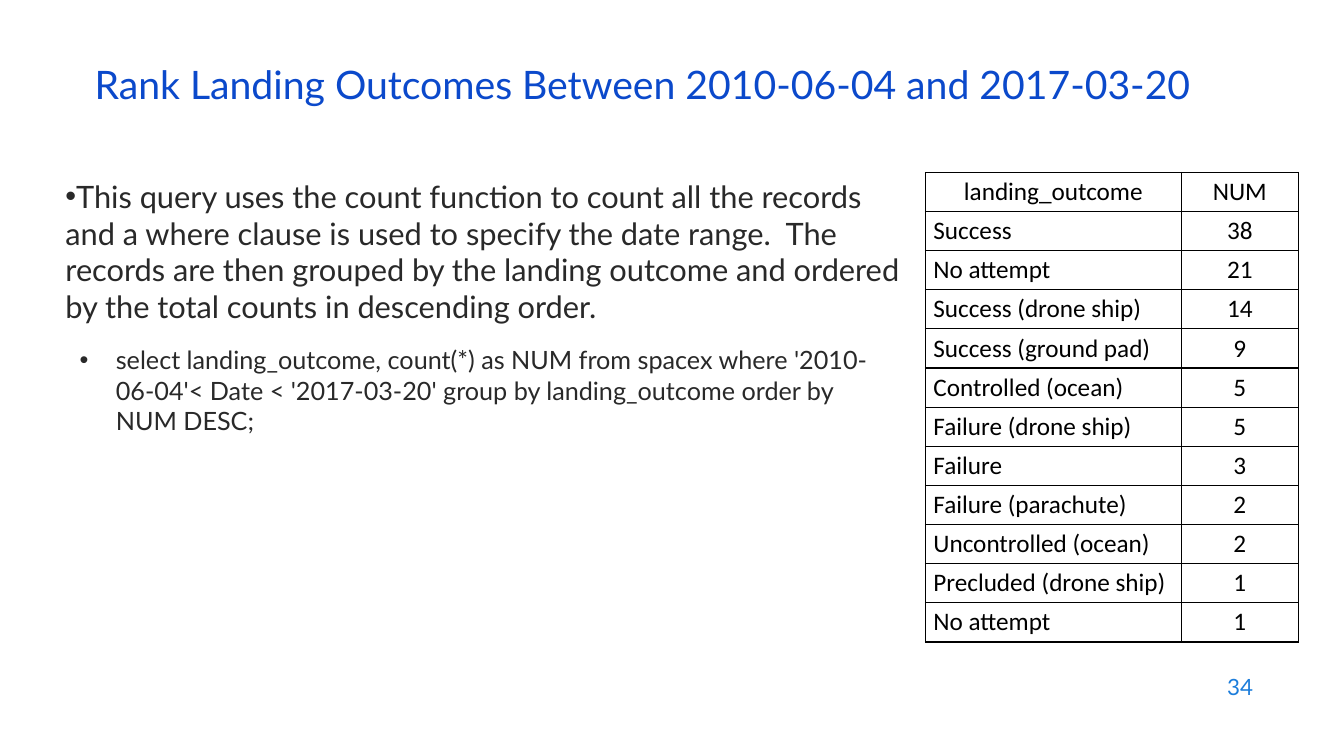
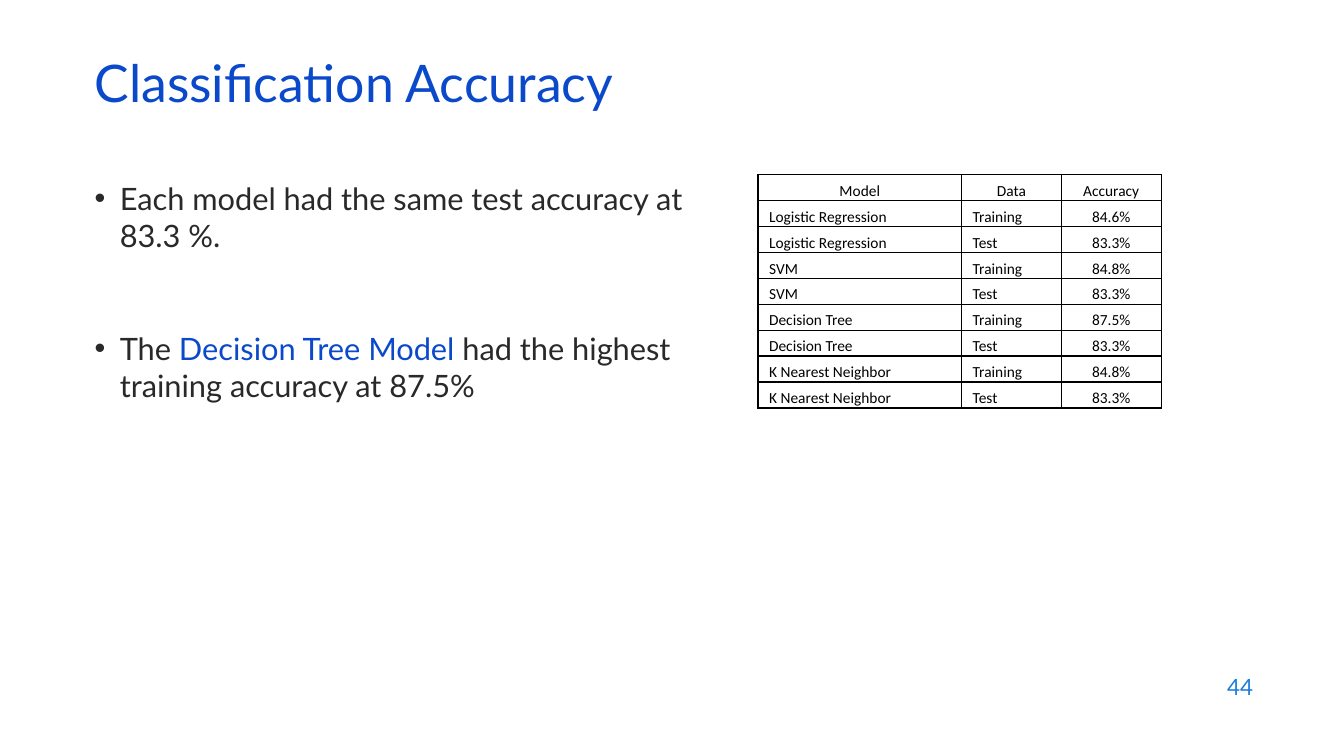
from pptx import Presentation
from pptx.dml.color import RGBColor as Rgb
from pptx.enum.text import MSO_ANCHOR as Anc, PP_ALIGN as Al
from pptx.oxml import parse_xml as to_xml
from pptx.oxml.ns import nsdecls as ns
from pptx.util import Inches as In, Pt

HUE = {"title": "0B49CB", "body": "292929", "page": "1C7DDB", "grid": "000000"}

deck = Presentation()
deck.slide_width, deck.slide_height = In(13.333), In(7.5)


def share(left, top, width, height):
    """Turn percentages of the slide into a position and size."""
    wide, high = deck.slide_width / 100, deck.slide_height / 100
    return [int(n) for n in (left * wide, top * high, width * wide, height * high)]


def write(para, text, size, hue, face="Lato"):
    run = para.add_run()
    run.text = text
    font = run.font
    font.name, font.size, font.bold = face, Pt(size), False
    font.color.rgb = Rgb.from_string(HUE[hue])


# Bullets: (margin, indent, space before, size, runs)
# Tables: place, column shares, size, anchor, insets, text indent, rows
pages = [
    {
        "page": "34", "size": 28,
        "title": "Rank Landing Outcomes Between 2010-06-04 and 2017-03-20",
        "box": (4.13, 22.8, 63.6, 67.2),
        "list": [
            (0, 0, 0, 22, [("This query uses the count function to count all the records "
                            "and a where clause is used to specify the date range.  The "
                            "records are then grouped by the landing outcome and ordered "
                            "by the total counts in descending order.", "body")]),
            (0.5, -0.36, 14, 18, [("select landing_outcome, count(*) as NUM from spacex "
                                   "where '2010-06-04'< Date < '2017-03-20' group by "
                                   "landing_outcome order by NUM DESC;", "body")]),
        ],
        "table": ((68.85, 22.8, 27.75, 62.13), (2.54, 1.16), 18, Anc.MIDDLE,
                  (0.08, 0.04, 0.08, 0.04), 0, [
            ("landing_outcome", "NUM"),
            ("Success", "38"),
            ("No attempt", "21"),
            ("Success (drone ship)", "14"),
            ("Success (ground pad)", "9"),
            ("Controlled (ocean)", "5"),
            ("Failure (drone ship)", "5"),
            ("Failure", "3"),
            ("Failure (parachute)", "2"),
            ("Uncontrolled (ocean)", "2"),
            ("Precluded (drone ship)", "1"),
            ("No attempt", "1"),
        ]),
    },
    {
        "page": "44", "size": 37,
        "title": "Classification Accuracy",
        "box": (6.3, 23.07, 48.3, 62.8),
        "list": [
            (0.25, -0.25, 0, 22,
             [("Each model had the same test accuracy at 83.3 %.", "body")]),
            (0.25, -0.25, 54.4, 22,
             [("The ", "body"), ("Decision Tree Model ", "title"),
              ("had the highest training accuracy at 87.5%", "body")]),
        ],
        "table": ((56.4, 23.07, 30, 30.93), (2.02, 0.99, 0.99), 11, Anc.BOTTOM,
                  (0.01, 0.01, 0.01, 0), 0.1, [
            ("Model", "Data", "Accuracy"),
            ("Logistic Regression", "Training", "84.6%"),
            ("Logistic Regression", "Test", "83.3%"),
            ("SVM", "Training", "84.8%"),
            ("SVM", "Test", "83.3%"),
            ("Decision Tree", "Training", "87.5%"),
            ("Decision Tree", "Test", "83.3%"),
            ("K Nearest Neighbor", "Training", "84.8%"),
            ("K Nearest Neighbor", "Test", "83.3%"),
        ]),
    },
]

for page in pages:
    slide = deck.slides.add_slide(deck.slide_layouts[6])
    shapes = slide.shapes

    # Title and page number
    for key, place, size, side, lead in (
            ("title", (6.3, 7.87, 86.25, 8), page["size"], Al.LEFT, 0.7),
            ("page", (71.47, 87.87, 22.5, 5.87), 16, Al.RIGHT, 1.0)):
        frame = shapes.add_textbox(*share(*place)).text_frame
        frame.word_wrap, frame.vertical_anchor = True, Anc.MIDDLE
        para = frame.paragraphs[0]
        para.alignment, para.line_spacing = side, lead
        write(para, page[key], size, key)

    # Bullet list
    frame = shapes.add_textbox(*share(*page["box"])).text_frame
    frame.word_wrap = True
    for num, (left, hang, gap, size, runs) in enumerate(page["list"]):
        para = frame.add_paragraph() if num else frame.paragraphs[0]
        props = para._p.get_or_add_pPr()
        props.set("marL", str(In(left)))
        props.set("indent", str(In(hang)))
        props.append(to_xml(f'<a:buFont {ns("a")} typeface="Arial"/>'))
        props.append(to_xml(f'<a:buChar {ns("a")} char="•"/>'))
        para.space_before = Pt(gap)
        for text, hue in runs:
            write(para, text, size, hue)

    # Table
    place, parts, size, anchor, insets, inset, rows = page["table"]
    spot = share(*place)
    table = shapes.add_table(len(rows), len(parts), *spot).table
    table.first_row = table.horz_banding = False
    for col, part in zip(table.columns, parts):
        col.width = int(spot[2] * part / sum(parts))
    for y, row in enumerate(rows):
        table.rows[y].height = spot[3] // len(rows)
        for x, text in enumerate(row):
            cell = table.cell(y, x)
            cell.vertical_anchor = anchor
            (cell.margin_left, cell.margin_top,
             cell.margin_right, cell.margin_bottom) = map(In, insets)
            cell.fill.background()
            props = cell._tc.get_or_add_tcPr()
            for spot_no, edge in enumerate("LRTB"):
                props.insert(spot_no, to_xml(
                    f'<a:ln{edge} {ns("a")} w="{Pt(1)}"><a:solidFill>'
                    f'<a:srgbClr val="{HUE["grid"]}"/></a:solidFill></a:ln{edge}>'))
            para = cell.text_frame.paragraphs[0]
            if y == 0 or x == len(row) - 1:
                para.alignment = Al.CENTER
            else:
                para.alignment = Al.LEFT
                para._p.get_or_add_pPr().set("marL", str(In(inset)))
            write(para, text, size, "grid", "Calibri")

deck.save("out.pptx")
